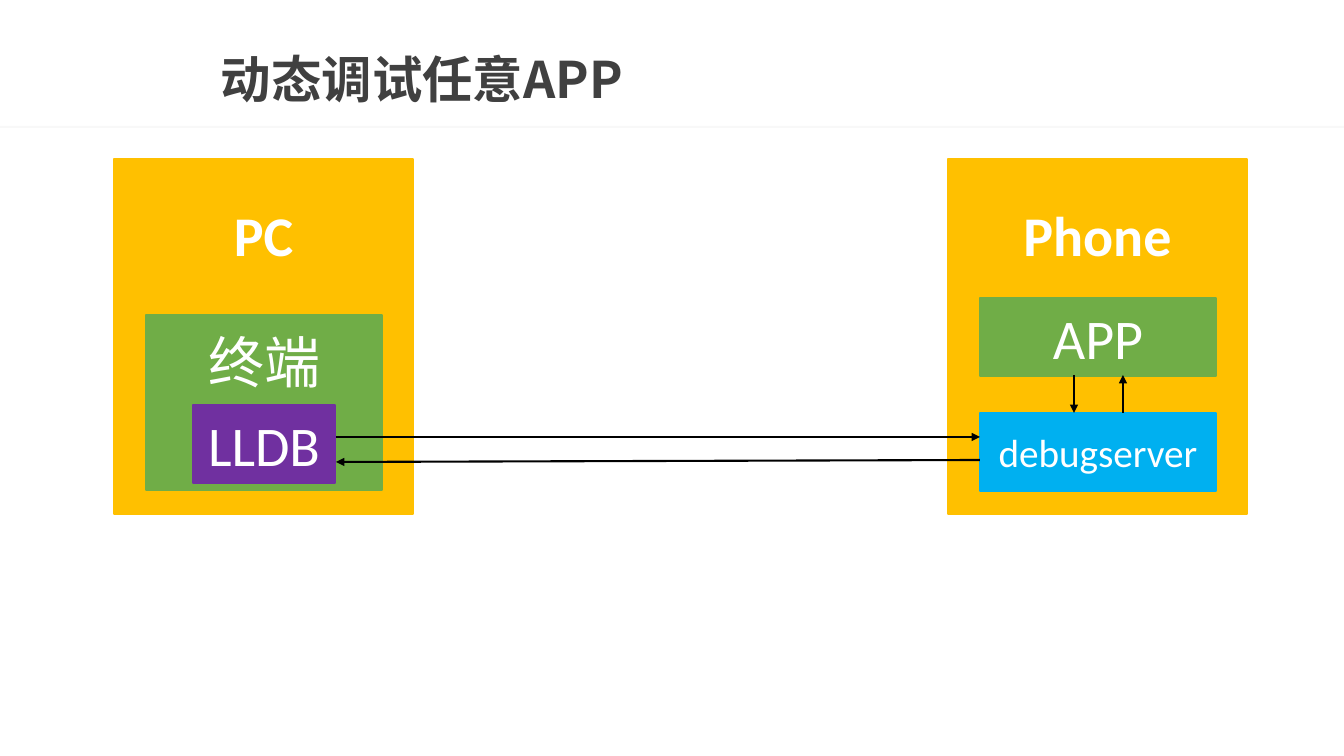
from pptx import Presentation
from pptx.dml.color import RGBColor
from pptx.enum.shapes import MSO_CONNECTOR, MSO_SHAPE
from pptx.enum.text import MSO_ANCHOR, PP_ALIGN
from pptx.oxml.ns import qn
from pptx.util import Pt
from lxml import etree

RECT = MSO_SHAPE.RECTANGLE
LINE = MSO_CONNECTOR.STRAIGHT
TOP, MIDDLE = MSO_ANCHOR.TOP, MSO_ANCHOR.MIDDLE
CENTER, LEFT = PP_ALIGN.CENTER, PP_ALIGN.LEFT

SCALE = 914400 / 100.8  # EMU in one px
LATIN, CJK = "Calibri", "Noto Sans CJK SC"
COLORS = {
    "device": "FFC000",
    "app": "70AD47",
    "server": "00B0F0",
    "lldb": "7030A0",
    "title": "404040",
    "rule": "EAEAEA",
    "white": "FFFFFF",
    "black": "000000",
}


def px(n):
    return round(n * SCALE)


def rgb(name):
    return RGBColor.from_string(COLORS[name])


def put_text(frame, text, size, color, bold=False, face=LATIN, align=CENTER):
    para = frame.paragraphs[0]
    para.text = text
    para.alignment = align
    font = para.font
    font.name, font.size, font.bold = face, Pt(size), bold
    font.color.rgb = rgb(color)
    # East Asian typeface
    props = para._p.pPr.find(qn("a:defRPr"))
    etree.SubElement(props, qn("a:ea"), typeface=CJK)
    return para


def add_rect(slide, x, y, w, h, color):
    rect = slide.shapes.add_shape(RECT, px(x), px(y), px(w), px(h))
    rect.shadow.inherit = False
    rect.fill.solid()
    rect.fill.fore_color.rgb = rgb(color)
    rect.line.color.rgb = rgb(color)
    rect.line.width = Pt(1)
    return rect


def add_box(slide, x, y, w, h, color, text, size=40, bold=False, inset=None):
    """A filled box; an inset hangs its text from the top edge."""
    box = add_rect(slide, x, y, w, h, color)
    frame = box.text_frame
    frame.word_wrap = True
    frame.vertical_anchor = MIDDLE
    if inset is not None:
        frame.vertical_anchor = TOP
        frame.margin_top = px(inset)
    put_text(frame, text, size, "white", bold)


def add_arrow(slide, x1, y1, x2, y2):
    arrow = slide.shapes.add_connector(LINE, px(x1), px(y1), px(x2), px(y2))
    arrow.line.color.rgb = rgb("black")
    arrow.line.width = Pt(1.5)
    etree.SubElement(arrow.line._get_or_add_ln(), qn("a:tailEnd"), type="triangle")
    etree.SubElement(arrow._element.spPr, qn("a:effectLst"))


def add_title(slide, text):
    box = slide.shapes.add_textbox(px(211), px(43), px(1112), px(79))
    frame = box.text_frame
    frame.word_wrap = True
    frame.vertical_anchor = MIDDLE
    para = put_text(frame, text, 36, "title", True, CJK, LEFT)
    para.line_spacing = 0.9


def add_rule(slide):
    rule = add_rect(slide, 0, 126, 1344, 2, "rule")
    rule.line.fill.background()
    tint = rule._element.spPr.find(qn("a:solidFill"))[0]
    etree.SubElement(tint, qn("a:alpha"), val="32000")


def main():
    deck = Presentation()
    deck.slide_width, deck.slide_height = px(1344), px(756)
    slide = deck.slides.add_slide(deck.slide_layouts[6])

    # Heading
    add_rule(slide)
    add_title(slide, "动态调试任意APP")

    # Devices
    for x, name in ((114, "PC"), (948, "Phone")):
        add_box(slide, x, 159, 299, 355, "device", name, bold=True, inset=41)

    # Programs on each device
    add_box(slide, 146, 315, 236, 175, "app", "终端", inset=13)
    add_box(slide, 980, 298, 236, 78, "app", "APP")
    add_box(slide, 980, 413, 236, 78, "server", "debugserver", size=28)
    add_box(slide, 193, 405, 142, 78, "lldb", "LLDB")

    # Messages between APP and debugserver, then LLDB and debugserver
    add_arrow(slide, 1123, 413, 1123, 375)
    add_arrow(slide, 1074, 375, 1074, 413)
    add_arrow(slide, 336, 437, 980, 437)
    add_arrow(slide, 980, 460, 336, 462)

    deck.save("out.pptx")


if __name__ == "__main__":
    main()
